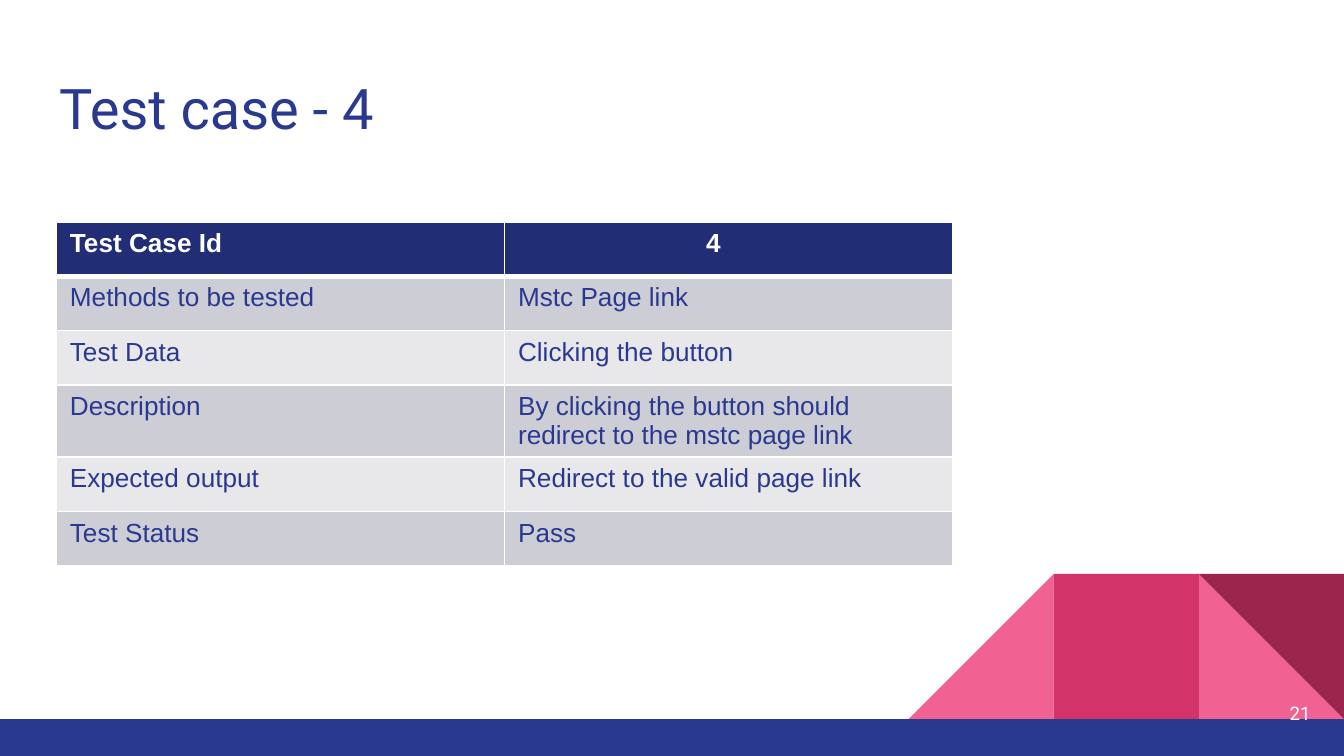
import dataclasses

import pptx
import pptx.dml.color
import pptx.enum.shapes
import pptx.enum.text
import pptx.oxml
import pptx.oxml.ns
import pptx.util

Inches = pptx.util.Inches
Shape = pptx.enum.shapes.MSO_SHAPE
Align = pptx.enum.text.PP_ALIGN
Anchor = pptx.enum.text.MSO_ANCHOR


@dataclasses.dataclass(frozen=True)
class Theme:
    heading_font: str = "Roboto"
    table_font: str = "Arial"
    title_size: int = 30
    table_size: int = 14
    number_size: int = 10
    blue: str = "2A3990"
    navy: str = "212D74"
    pink: str = "F06292"
    crimson: str = "D23369"
    wine: str = "9C254D"
    white: str = "FFFFFF"
    bands: tuple = ("CDCDD6", "E8E8EB")


def rgb(color):
    return pptx.dml.color.RGBColor.from_string(color)


class SlideBuilder:
    def __init__(self, slide, theme):
        self.slide = slide
        self.theme = theme

    def format_text(self, frame, font, size, color, bold=False, align=Align.LEFT):
        for paragraph in frame.paragraphs:
            paragraph.alignment = align
            for run in paragraph.runs:
                run.font.name = font
                run.font.size = pptx.util.Pt(size)
                run.font.bold = bold
                run.font.color.rgb = rgb(color)

    def set_insets(self, frame):
        frame.margin_left = frame.margin_right = Inches(0.1)
        frame.margin_top = frame.margin_bottom = Inches(0.1)
        frame.word_wrap = True
        frame.auto_size = pptx.enum.text.MSO_AUTO_SIZE.NONE

    def title(self, text, left, top, width, height):
        title = self.slide.shapes.title
        title.left, title.top = Inches(left), Inches(top)
        title.width, title.height = Inches(width), Inches(height)
        frame = title.text_frame
        frame.text = text
        self.set_insets(frame)
        frame.vertical_anchor = Anchor.TOP
        self.format_text(frame, self.theme.heading_font, self.theme.title_size, self.theme.blue)

    def block(self, group, preset, color, left, top, width, height, rotation=0):
        block = group.shapes.add_shape(
            preset, Inches(left), Inches(top), Inches(width), Inches(height))
        block.rotation = rotation
        block.shadow.inherit = False
        block.fill.solid()
        block.fill.fore_color.rgb = rgb(color)
        block.line.fill.background()

    def footer_art(self):
        theme = self.theme
        side, base, right = 1.08, 5.35, 10
        top = base - side
        group = self.slide.shapes.add_group_shape()
        for preset, color, steps, rotation in (
            (Shape.RIGHT_TRIANGLE, theme.pink, 1, 0),
            (Shape.RIGHT_TRIANGLE, theme.pink, 3, 270),
            (Shape.RECTANGLE, theme.crimson, 2, 0),
            (Shape.RIGHT_TRIANGLE, theme.wine, 1, 180),
        ):
            self.block(group, preset, color, right - steps * side, top, side, side, rotation)
        self.block(group, Shape.RECTANGLE, theme.blue, 0, base, right, 0.28)

    def cell_borders(self, cell, bottom):
        properties = cell._tc.get_or_add_tcPr()
        widths = {"lnL": 1, "lnR": 1, "lnT": 1, "lnB": bottom}
        for position, (side, points) in enumerate(widths.items()):
            border = pptx.oxml.parse_xml(
                f'<a:{side} {pptx.oxml.ns.nsdecls("a")} w="{pptx.util.Pt(points)}">'
                f'<a:solidFill><a:srgbClr val="{self.theme.white}"/></a:solidFill></a:{side}>')
            properties.insert(position, border)

    def table(self, rows, left, top, width, height):
        theme = self.theme
        table = self.slide.shapes.add_table(
            len(rows), len(rows[0]), Inches(left), Inches(top),
            Inches(width), Inches(height)).table
        for row_index, row in enumerate(rows):
            header = row_index == 0
            fill = theme.navy if header else theme.bands[(row_index - 1) % 2]
            for column_index, text in enumerate(row):
                cell = table.cell(row_index, column_index)
                cell.text_frame.text = text
                cell.fill.solid()
                cell.fill.fore_color.rgb = rgb(fill)
                self.format_text(cell.text_frame, theme.table_font, theme.table_size,
                                 theme.white if header else theme.blue, header)
                self.cell_borders(cell, 3 if header else 1)
        table.cell(0, 1).margin_left = Inches(1.5)

    def page_number(self, text, left, top, width, height):
        number = self.slide.shapes.add_textbox(
            Inches(left), Inches(top), Inches(width), Inches(height))
        frame = number.text_frame
        frame.text = text
        self.set_insets(frame)
        frame.vertical_anchor = Anchor.MIDDLE
        self.format_text(frame, self.theme.heading_font, self.theme.number_size,
                         self.theme.white, align=Align.RIGHT)


TEST_CASE = (
    ("Test Case Id", "4"),
    ("Methods to be tested", "Mstc Page link"),
    ("Test Data", "Clicking the button"),
    ("Description", "By clicking the button should redirect to the mstc page link"),
    ("Expected output", "Redirect to the valid page link"),
    ("Test Status", "Pass"),
)


def main():
    deck = pptx.Presentation()
    deck.slide_width, deck.slide_height = Inches(10), Inches(10 * 9 / 16)
    title_only = deck.slide_layouts[5]
    builder = SlideBuilder(deck.slides.add_slide(title_only), Theme())
    builder.footer_art()
    builder.title("Test case - 4", 0.34, 0.45, 9.32, 0.66)
    builder.table(TEST_CASE, 0.42, 1.65, 6.67, 2.43)
    builder.page_number("21", 9.25, 5.09, 0.6, 0.43)
    deck.save("out.pptx")


if __name__ == "__main__":
    main()
